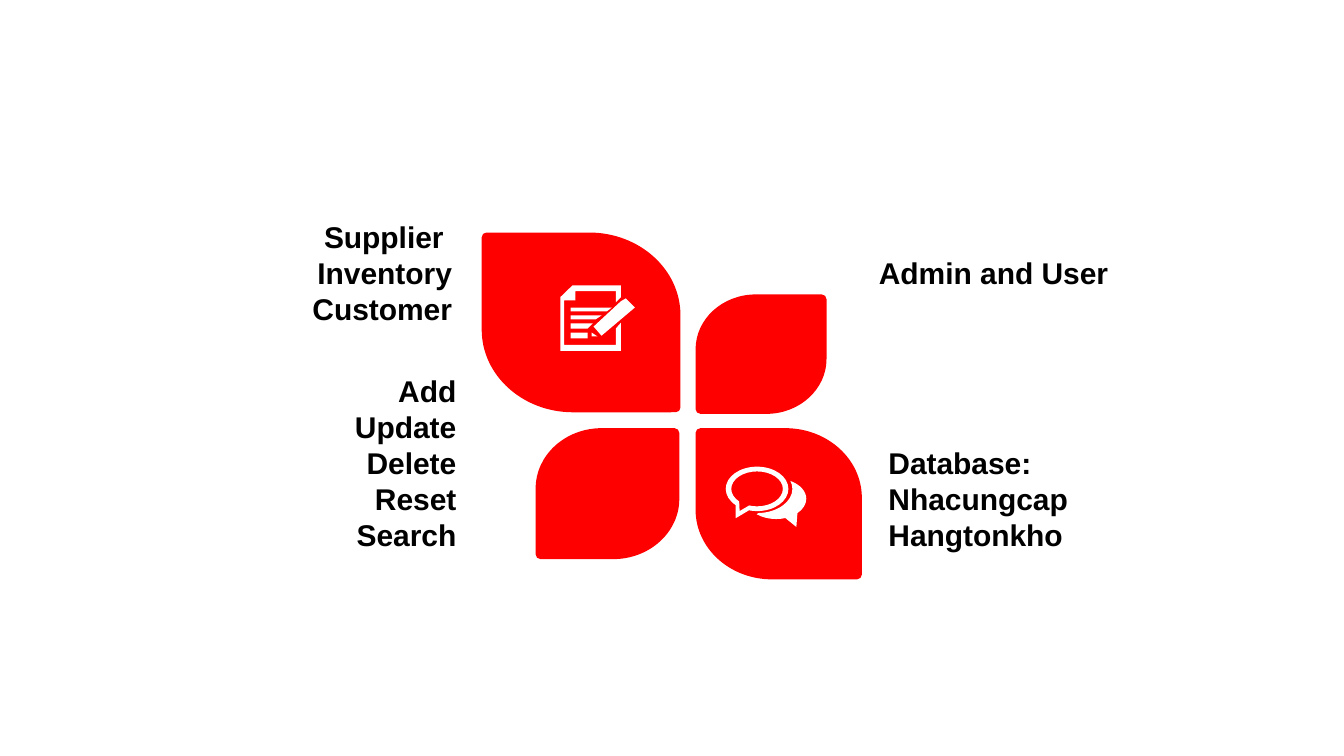
from dataclasses import dataclass
from math import ceil, cos, floor, radians, sin, tan

from lxml.etree import Element
from pptx import Presentation
from pptx.dml.color import RGBColor
from pptx.enum.text import MSO_AUTO_SIZE, PP_ALIGN
from pptx.oxml.ns import qn
from pptx.shapes.shapetree import GroupShapes, SlideShapes
from pptx.util import Cm, Pt

Point = tuple[float, float]
Step = tuple[Point, ...]  # one point for a line, three for a curve
Outline = list[Step]


@dataclass(frozen=True)
class Theme:
    petal: RGBColor = RGBColor(0xFF, 0x00, 0x00)
    icon: RGBColor = RGBColor(0xFF, 0xFF, 0xFF)
    ink: RGBColor = RGBColor(0x00, 0x00, 0x00)
    font: str = "Arial"
    size: Pt = Pt(21.4)


@dataclass(frozen=True)
class Petal:
    left: float
    top: float
    width: float
    height: float
    rising: bool  # large curves at top left and bottom right


@dataclass(frozen=True)
class Label:
    left: float
    top: float
    width: float
    height: float
    align: PP_ALIGN
    lines: tuple[str, ...]


THEME = Theme()
CURVE = 0.46  # large corner radius as a share of the side
NIB = 0.12  # small corner radius

PETALS = (
    Petal(12.14, 5.86, 5.01, 4.53, False),
    Petal(17.53, 10.79, 4.19, 3.81, False),
    Petal(17.53, 7.42, 3.3, 3.01, True),
    Petal(13.5, 10.79, 3.62, 3.3, True),
)

LABELS = (
    Label(22.14, 11.09, 11.68, 3.0, PP_ALIGN.LEFT,
          ("Database:", "Nhacungcap", "Hangtonkho")),
    Label(21.9, 6.3, 7.24, 1.17, PP_ALIGN.LEFT, ("Admin and User",)),
    Label(3.34, 9.27, 8.41, 4.83, PP_ALIGN.RIGHT,
          ("Add", "Update", "Delete", "Reset", "Search")),
    Label(4.4, 5.38, 7.24, 3.0, PP_ALIGN.RIGHT,
          ("Supplier ", "Inventory", "Customer")),
)


def arc(mid: Point, rx: float, ry: float, start: int, end: int) -> Outline:
    """Line to the start of an elliptic arc, then one curve per quarter."""
    def spot(turn: float, lean: float = 0) -> Point:
        t = radians(turn)
        return (mid[0] + rx * (cos(t) - lean * sin(t)),
                mid[1] + ry * (sin(t) + lean * cos(t)))

    low, high = min(start, end), max(start, end)
    cuts = [90 * i for i in range(floor(low / 90) + 1, ceil(high / 90))]
    turns = sorted([start, *cuts, end], reverse=start > end)
    steps: Outline = [(spot(start),)]
    for a, b in zip(turns, turns[1:]):
        lean = 4 / 3 * tan(radians(b - a) / 4)
        steps.append((spot(a, lean), spot(b, -lean), spot(b)))
    return steps


def poly(*points: Point) -> Outline:
    return [(point,) for point in points]


def draw(shapes: GroupShapes, outlines: list[Outline], color: RGBColor) -> None:
    """Draw closed outlines as one filled shape."""
    pen = None
    for line in outlines:
        ends = [(Cm(step[-1][0]), Cm(step[-1][1])) for step in line]
        if pen is None:
            pen = shapes.build_freeform(*ends[0])
        else:
            pen.move_to(*ends[0])
        pen.add_line_segments(ends[1:])
    shape = pen.convert_to_shape()
    shape.shadow.inherit = False
    shape.fill.solid()
    shape.fill.fore_color.rgb = color
    shape.line.fill.background()

    # Bend the segments that have control points
    nodes = list(shape._element.iter(qn("a:lnTo")))
    steps = [step for line in outlines for step in line[1:]]
    for node, step in zip(nodes, steps):
        if len(step) == 3:
            node.tag = qn("a:cubicBezTo")
            for i, (x, y) in enumerate(step[:2]):
                node.insert(i, Element(qn("a:pt"), x=str(Cm(x) - shape.left),
                                       y=str(Cm(y) - shape.top)))


def draw_petal(shapes: GroupShapes, petal: Petal) -> None:
    outline: Outline = []
    # Corners clockwise from the top left
    for i, (right, low) in enumerate(((0, 0), (1, 0), (1, 1), (0, 1))):
        large = (i % 2 == 0) == petal.rising
        rx = petal.width * CURVE if large else NIB
        ry = petal.height * CURVE if large else NIB
        mid = (petal.left + (petal.width - rx if right else rx),
               petal.top + (petal.height - ry if low else ry))
        outline += arc(mid, rx, ry, 180 + 90 * i, 270 + 90 * i)
    draw(shapes, [outline], THEME.petal)


def draw_chat(shapes: GroupShapes) -> None:
    front, back = (19.08, 12.32), (19.56, 12.57)
    rim = arc(front, 0.79, 0.56, 133, 465) + poly((18.54, 13.06))
    hole = arc(front, 0.65, 0.44, 134, 468) + poly((18.64, 12.88))
    rear = (arc(front, 0.89, 0.61, -20, 88) + arc(back, 0.76, 0.51, 130, 72)
            + poly((20.07, 13.28)) + arc(back, 0.76, 0.51, 45, -62))
    draw(shapes, [rim, hole, rear], THEME.icon)


def draw_note(shapes: GroupShapes) -> None:
    page = poly((15.52, 8.69), (14.22, 8.69), (14.22, 7.57), (14.5, 7.57),
                (14.5, 7.34), (15.52, 7.34), (15.52, 7.62), (15.65, 7.49),
                (15.65, 7.19), (14.43, 7.19), (14.12, 7.49), (14.12, 8.84),
                (15.65, 8.84), (15.65, 8.13), (15.52, 8.28))
    pencil = poly((15.65, 7.59), (14.96, 8.23), (15.16, 8.46), (16.0, 7.75),
                  (15.77, 7.52))
    tip = poly((14.91, 8.38), (14.91, 8.48), (15.06, 8.48))
    # Text rows: top, bottom, right end at top and at bottom
    rows = ((7.75, 7.85, 15.42, 15.29), (7.95, 8.05, 15.16, 15.01),
            (8.15, 8.28, 14.94, 14.81), (8.38, 8.53, 14.81, 14.81))
    text = [poly((14.38, top), (high, top), (low, base), (14.38, base))
            for top, base, high, low in rows]
    draw(shapes, [page, pencil, tip, *text], THEME.icon)


def add_label(shapes: SlideShapes, label: Label) -> None:
    box = shapes.add_textbox(Cm(label.left), Cm(label.top),
                             Cm(label.width), Cm(label.height))
    frame = box.text_frame
    frame.word_wrap = True
    frame.auto_size = MSO_AUTO_SIZE.SHAPE_TO_FIT_TEXT
    frame.text = "\n".join(label.lines)
    for para in frame.paragraphs:
        para.alignment = label.align
        para.font.name = THEME.font
        para.font.size = THEME.size
        para.font.bold = True
        para.font.color.rgb = THEME.ink


def main() -> None:
    deck = Presentation()
    deck.slide_width, deck.slide_height = Cm(33.87), Cm(19.05)
    slide = deck.slides.add_slide(deck.slide_layouts[6])

    # Flower with its icons
    flower = slide.shapes.add_group_shape().shapes
    for petal in PETALS:
        draw_petal(flower, petal)
    draw_chat(flower)
    draw_note(flower)

    # Labels around the flower
    for label in LABELS:
        add_label(slide.shapes, label)

    deck.save("out.pptx")


if __name__ == "__main__":
    main()
